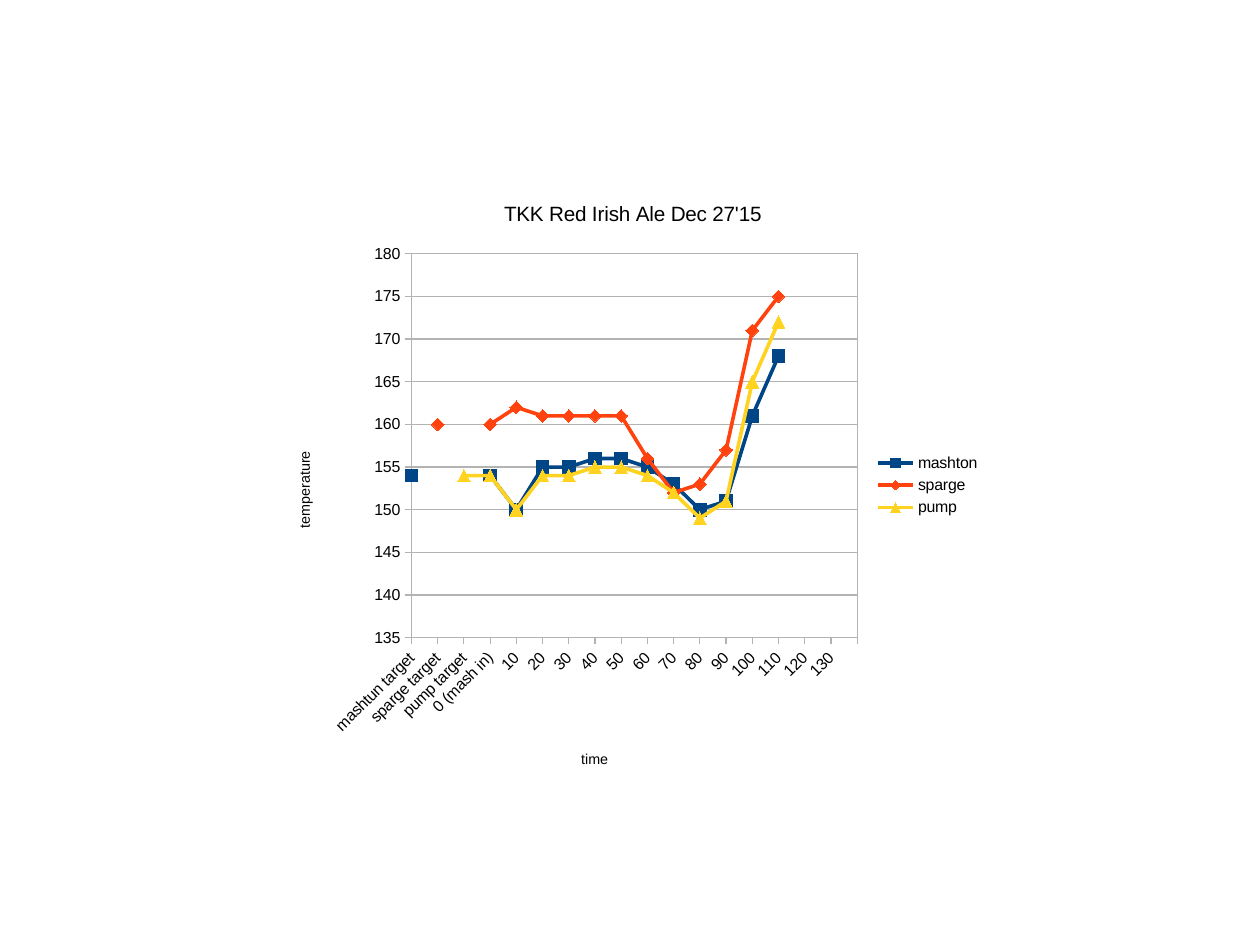
from pptx import Presentation
from pptx import util as u
from pptx.chart.data import CategoryChartData
from pptx.dml.color import RGBColor
from pptx.enum import chart as ch
from pptx.oxml import parse_xml
from pptx.oxml.ns import nsdecls, qn

BLACK = RGBColor(0x00, 0x00, 0x00)
GRAY = RGBColor(0xB3, 0xB3, 0xB3)
BLUE = RGBColor(0x00, 0x45, 0x86)
ORANGE = RGBColor(0xFF, 0x42, 0x0E)
YELLOW = RGBColor(0xFF, 0xD3, 0x20)

CM_PER_INCH = 2.54
CHART_WIDTH, CHART_HEIGHT = 6.29, 5.35
TIMES = ["mashtun target", "sparge target", "pump target", "0 (mash in)",
         *[str(minute) for minute in range(10, 140, 10)], ""]
NO_READING = [None] * 3
SERIES = [
    ("mashton", BLUE, ch.XL_MARKER_STYLE.SQUARE,
     [154, None, None, 154, 150, 155, 155, 156, 156, 155, 153, 150, 151, 161, 168]),
    ("sparge", ORANGE, ch.XL_MARKER_STYLE.DIAMOND,
     [None, 160, None, 160, 162, 161, 161, 161, 161, 156, 152, 153, 157, 171, 175]),
    ("pump", YELLOW, ch.XL_MARKER_STYLE.TRIANGLE,
     [None, None, 154, 154, 150, 154, 154, 155, 155, 154, 152, 149, 151, 165, 172]),
]


class Deck:
    font_name = "Arial"

    def __init__(self, prs):
        self.s = prs.slides.add_slide(prs.slide_layouts[6])

    def style_font(self, font, size):
        font.name = self.font_name
        font.size = u.Pt(size)
        font.bold = False
        font.color.rgb = BLACK

    def style_line(self, line, color=GRAY, width=0):
        line.color.rgb = color
        line.width = u.Pt(width)

    def title(self, owner, wording, size):
        r = owner.text_frame.paragraphs[0].add_run()
        r.text = wording
        self.style_font(r.font, size)

    def axis(self, axis, wording):
        axis.major_tick_mark = ch.XL_TICK_MARK.OUTSIDE
        axis.tick_label_position = ch.XL_TICK_LABEL_POSITION.LOW
        self.style_font(axis.tick_labels.font, 10)
        self.style_line(axis.format.line)
        self.title(axis.axis_title, wording, 9)

    def line_chart(self, left, top, width, height):
        data = CategoryChartData()
        data.categories = TIMES
        for name, _, _, values in SERIES:
            data.add_series(name, values + NO_READING)
        chart = self.s.shapes.add_chart(
            ch.XL_CHART_TYPE.LINE_MARKERS, u.Inches(left), u.Inches(top),
            u.Inches(width), u.Inches(height), data).chart
        self.style_font(chart.font, 10)
        for series, (_, color, marker, _) in zip(chart.plots[0].series, SERIES):
            series.smooth = False
            self.style_line(series.format.line, color, 2.27)
            series.marker.style = marker
            series.marker.size = 8
            series.marker.format.fill.solid()
            series.marker.format.fill.fore_color.rgb = color
            series.marker.format.line.fill.background()
        chart.plots[0].vary_by_categories = False
        return chart

    def legend(self, chart):
        chart.has_legend = True
        chart.legend.position = ch.XL_LEGEND_POSITION.RIGHT
        chart.legend.include_in_layout = False
        self.style_font(chart.legend.font, 10)

    def plot_area(self, chart, left, top, width, height):
        area = chart._chartSpace.find(".//" + qn("c:plotArea"))
        for layout in area.findall(qn("c:layout")):
            area.remove(layout)
        shares = (left / CHART_WIDTH, top / CHART_HEIGHT,
                  width / CHART_WIDTH, height / CHART_HEIGHT)
        sizes = "".join(f'<c:{tag} val="{share}"/>' for tag, share in zip("xywh", shares))
        area.insert(0, parse_xml(
            f'<c:layout {nsdecls("c")}><c:manualLayout><c:layoutTarget val="inner"/>'
            f'<c:xMode val="edge"/><c:yMode val="edge"/>{sizes}'
            '</c:manualLayout></c:layout>'))
        area.append(parse_xml(
            f'<c:spPr {nsdecls("c", "a")}><a:noFill/><a:ln w="0"><a:solidFill>'
            f'<a:srgbClr val="{GRAY}"/></a:solidFill></a:ln></c:spPr>'))

    def points_on_ticks(self, axis):
        element = axis._element
        for old in element.findall(qn("c:crossBetween")):
            element.remove(old)
        element.find(qn("c:crosses")).addnext(
            parse_xml(f'<c:crossBetween {nsdecls("c")} val="midCat"/>'))


def main():
    prs = Presentation()
    prs.slide_width = u.Inches(28 / CM_PER_INCH)
    prs.slide_height = u.Inches(21 / CM_PER_INCH)
    deck = Deck(prs)
    chart = deck.line_chart(2.39, 1.57, CHART_WIDTH, CHART_HEIGHT)
    chart.has_title = True
    deck.title(chart.chart_title, "TKK Red Irish Ale Dec 27'15", 13)
    deck.legend(chart)

    time, temperature = chart.category_axis, chart.value_axis
    deck.axis(time, "time")
    labels = time._element.find(qn("c:txPr")).find(qn("a:bodyPr"))
    labels.set("rot", "-2700000")

    deck.axis(temperature, "temperature")
    deck.points_on_ticks(temperature)
    temperature.minimum_scale = 135
    temperature.maximum_scale = 180
    temperature.major_unit = 5
    temperature.has_major_gridlines = True
    deck.style_line(temperature.major_gridlines.format.line)

    deck.plot_area(chart, 1.21, 0.65, 3.9, 3.36)
    prs.save("out.pptx")


if __name__ == "__main__":
    main()
